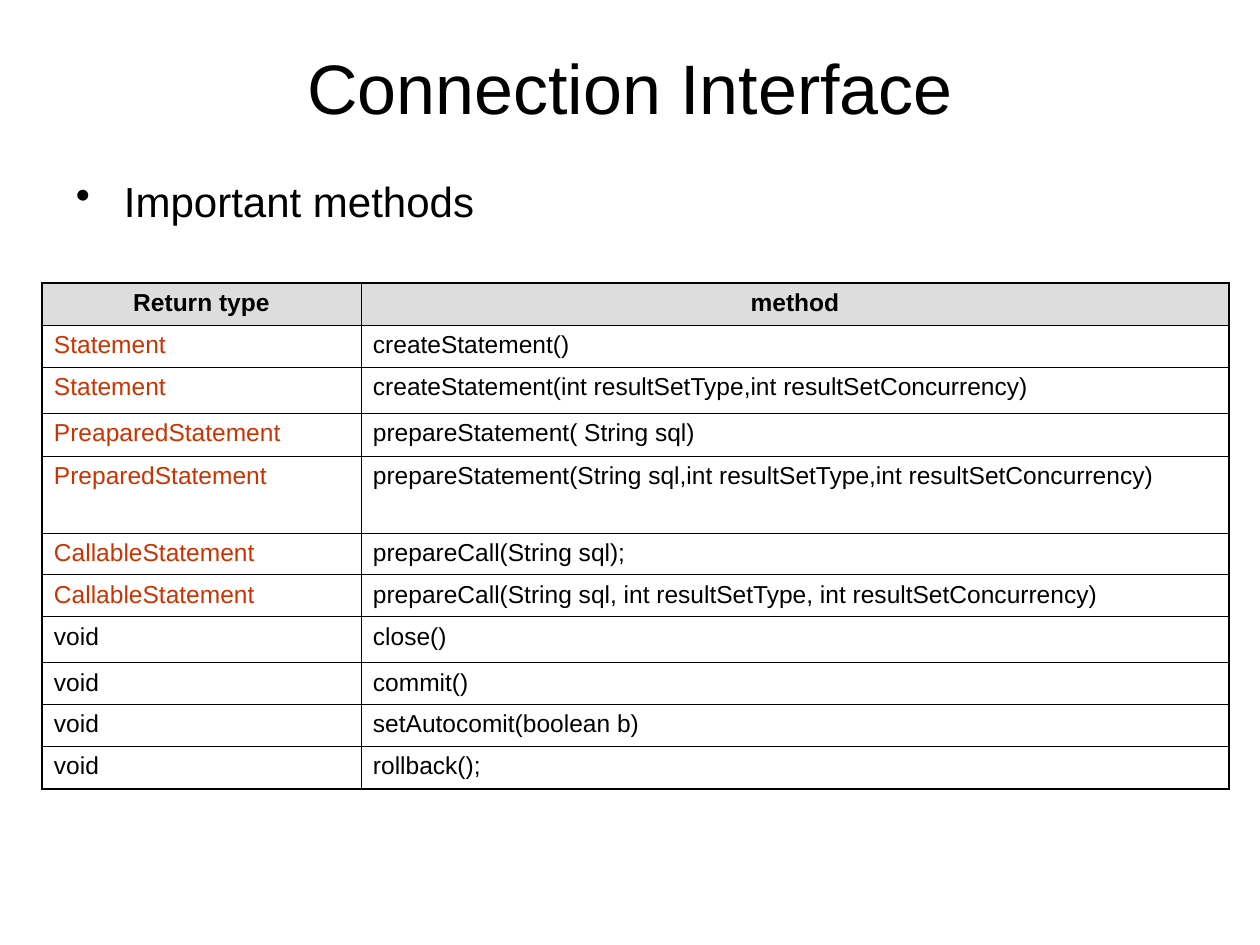
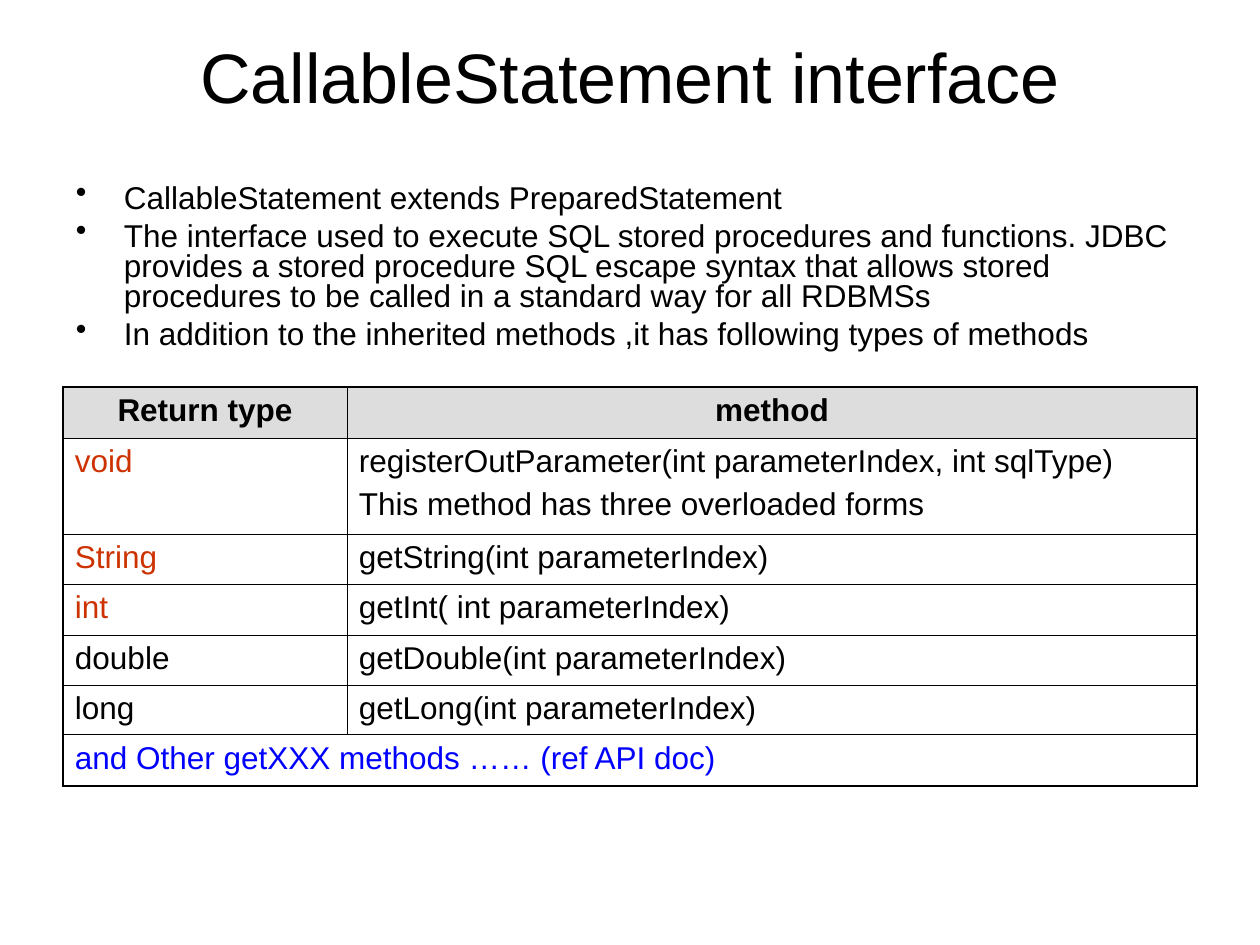
from dataclasses import dataclass

from lxml import etree
from pptx import Presentation
from pptx.dml.color import RGBColor
from pptx.enum import text
from pptx.oxml.ns import qn
from pptx.util import Emu, Pt

HEADINGS = ("Return type", "method")
SLIDES = [
    {
        "title": "Connection Interface",
        "title_height": 98,
        "bullets": ["Important methods"],
        "bullet_size": 24,
        "body_height": 67,
        "methods": [
            ("Statement", "createStatement()"),
            ("Statement", "createStatement(int resultSetType,int resultSetConcurrency)"),
            ("PreaparedStatement", "prepareStatement( String sql)"),
            ("PreparedStatement", "prepareStatement(String sql,int resultSetType,int resultSetConcurrency)"),
            ("CallableStatement", "prepareCall(String sql);"),
            ("CallableStatement", "prepareCall(String sql, int resultSetType, int resultSetConcurrency)"),
            ("void", "close()"),
            ("void", "commit()"),
            ("void", "setAutocomit(boolean b)"),
            ("void", "rollback();"),
        ],
        "accented_rows": 6,
        "table_size": 14,
        "table_origin": (42, 283),
        "columns": (319, 868),
        "rows": (42, 42, 46, 43, 77, 42, 42, 46, 42, 42, 42),
    },
    {
        "title": "CallableStatement interface",
        "title_height": 76,
        "bullets": [
            "CallableStatement extends PreparedStatement",
            "The interface used to execute SQL stored procedures and functions. JDBC provides a stored "
            "procedure SQL escape syntax that allows stored procedures to be called in a standard way "
            "for all RDBMSs",
            "In addition to the inherited methods ,it has following types of methods",
        ],
        "bullet_size": 18,
        "body_height": 189,
        "methods": [
            ("void", "registerOutParameter(int parameterIndex, int sqlType)\n"
                     "This method has three overloaded forms"),
            ("String", "getString(int parameterIndex)"),
            ("int", "getInt( int parameterIndex)"),
            ("double", "getDouble(int parameterIndex)"),
            ("long", "getLong(int parameterIndex)"),
        ],
        "closing_row": "and Other getXXX methods …… (ref API doc)",
        "accented_rows": 3,
        "table_size": 18,
        "table_origin": (63, 387),
        "columns": (284, 850),
        "rows": (51, 96, 50, 51, 50, 50, 51),
    },
]


@dataclass(frozen=True)
class Theme:
    font: str = "Arial"
    ink: str = "000000"
    accent: str = "CC3300"
    note: str = "0000FF"
    header: str = "DDDDDD"
    title_size: int = 40
    outer_line: float = 1.08
    inner_line: float = 0.45
    space_ratio: float = 0.25
    bullet_line_spacing: float = 0.8


THEME = Theme()
SLIDE_SIZE = (1260, 945)
MARGIN, TITLE_TOP, BODY_TOP = 63, 38, 179
CONTENT_WIDTH = SLIDE_SIZE[0] - 2 * MARGIN
BULLET_INDENT = 48
PAD_X, PAD_Y = 13, 6


def px(length):
    return Emu(round(length * 914400 / 126))


def apply(target, values):
    for name, value in values.items():
        setattr(target, name, value)


def add_bullet(paragraph):
    properties = paragraph._p.get_or_add_pPr()
    properties.set("marL", str(px(BULLET_INDENT)))
    properties.set("indent", str(-px(BULLET_INDENT)))
    color = etree.SubElement(properties, qn("a:buClr"))
    etree.SubElement(color, qn("a:srgbClr"), val=THEME.ink)
    etree.SubElement(properties, qn("a:buChar"), char="•")
    paragraph.line_spacing = THEME.bullet_line_spacing


def write(frame, lines, size, color=THEME.ink, bold=False, align=text.PP_ALIGN.LEFT, bulleted=False):
    for index, line in enumerate(lines):
        paragraph = frame.add_paragraph() if index else frame.paragraphs[0]
        if bulleted:
            add_bullet(paragraph)
        if index:
            paragraph.space_before = Pt(size * THEME.space_ratio)
        paragraph.alignment = align
        run = paragraph.add_run()
        run.text = line
        apply(run.font, {"name": THEME.font, "size": Pt(size), "bold": bold})
        run.font.color.rgb = RGBColor.from_string(color)


def add_text(slide, top, height, lines, size, anchor=text.MSO_ANCHOR.TOP, **style):
    box = slide.shapes.add_textbox(px(MARGIN), px(top), px(CONTENT_WIDTH), px(height))
    apply(box.text_frame, {
        "word_wrap": True, "vertical_anchor": anchor,
        "margin_left": px(PAD_X), "margin_right": px(PAD_X),
        "margin_top": px(PAD_Y), "margin_bottom": px(PAD_Y),
    })
    write(box.text_frame, lines, size, **style)


def draw_borders(cell, outer):
    properties = cell._tc.get_or_add_tcPr()
    for side in "LRTB":
        if side == "L" and cell.is_spanned:
            continue
        width = THEME.outer_line if side in outer else THEME.inner_line
        line = etree.SubElement(properties, qn(f"a:ln{side}"), w=str(Pt(width)))
        fill = etree.SubElement(line, qn("a:solidFill"))
        etree.SubElement(fill, qn("a:srgbClr"), val=THEME.ink)


def style_cell(cell, row, column, last_row, last_column):
    apply(cell, {"margin_left": px(PAD_X - 1), "margin_right": px(PAD_X - 1),
                 "margin_top": px(PAD_Y), "margin_bottom": px(PAD_Y)})
    edges = {"L": column == 0, "R": column == last_column or cell.is_merge_origin,
             "T": row == 0, "B": row == last_row}
    draw_borders(cell, [side for side, is_outer in edges.items() if is_outer])
    if row == 0:
        cell.fill.solid()
        cell.fill.fore_color.rgb = RGBColor.from_string(THEME.header)
    else:
        cell.fill.background()


def add_method_table(slide, content):
    rows, columns, size = content["rows"], content["columns"], content["table_size"]
    left, top = content["table_origin"]
    table = slide.shapes.add_table(len(rows), len(columns), px(left), px(top),
                                   px(sum(columns)), px(sum(rows))).table
    apply(table, {"first_row": False, "horz_banding": False})
    for column, width in zip(table.columns, columns):
        column.width = px(width)
    for row, height in zip(table.rows, rows):
        row.height = px(height)
    last_row, last_column = len(rows) - 1, len(columns) - 1
    if "closing_row" in content:
        table.cell(last_row, 0).merge(table.cell(last_row, last_column))
        write(table.cell(last_row, 0).text_frame, [content["closing_row"]], size, THEME.note)
    for row_index, values in enumerate([HEADINGS, *content["methods"]]):
        for column_index, value in enumerate(values):
            frame = table.cell(row_index, column_index).text_frame
            if row_index == 0:
                write(frame, [value], size, bold=True, align=text.PP_ALIGN.CENTER)
            else:
                accented = column_index == 0 and row_index <= content["accented_rows"]
                write(frame, value.split("\n"), size, THEME.accent if accented else THEME.ink)
    for row_index in range(len(rows)):
        for column_index in range(len(columns)):
            style_cell(table.cell(row_index, column_index), row_index, column_index,
                       last_row, last_column)


def main():
    presentation = Presentation()
    presentation.slide_width, presentation.slide_height = map(px, SLIDE_SIZE)
    for content in SLIDES:
        slide = presentation.slides.add_slide(presentation.slide_layouts[6])
        add_text(slide, TITLE_TOP, content["title_height"], [content["title"]], THEME.title_size,
                 anchor=text.MSO_ANCHOR.MIDDLE, align=text.PP_ALIGN.CENTER)
        add_text(slide, BODY_TOP, content["body_height"], content["bullets"],
                 content["bullet_size"], bulleted=True)
        add_method_table(slide, content)
    presentation.save("out.pptx")


if __name__ == "__main__":
    main()
